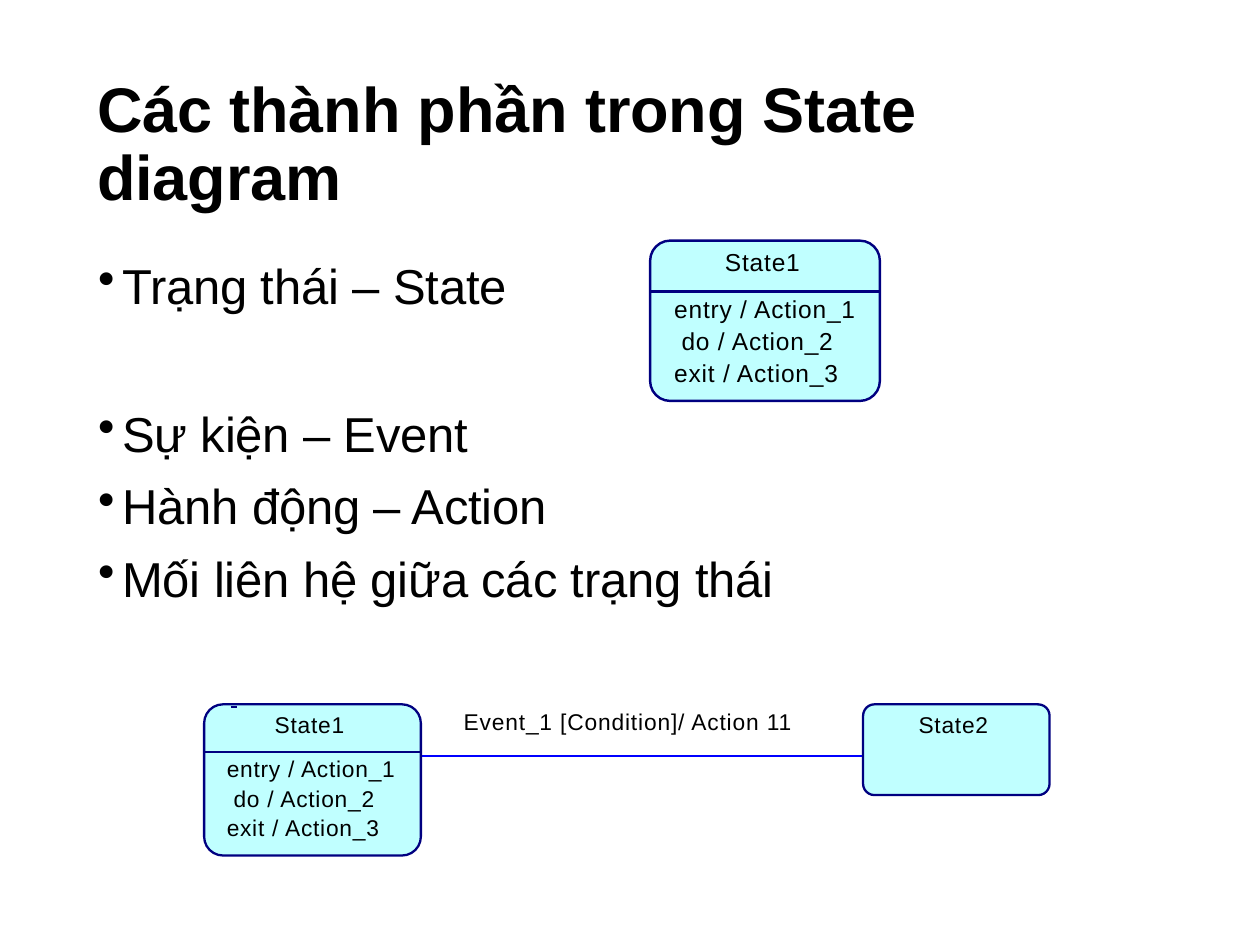
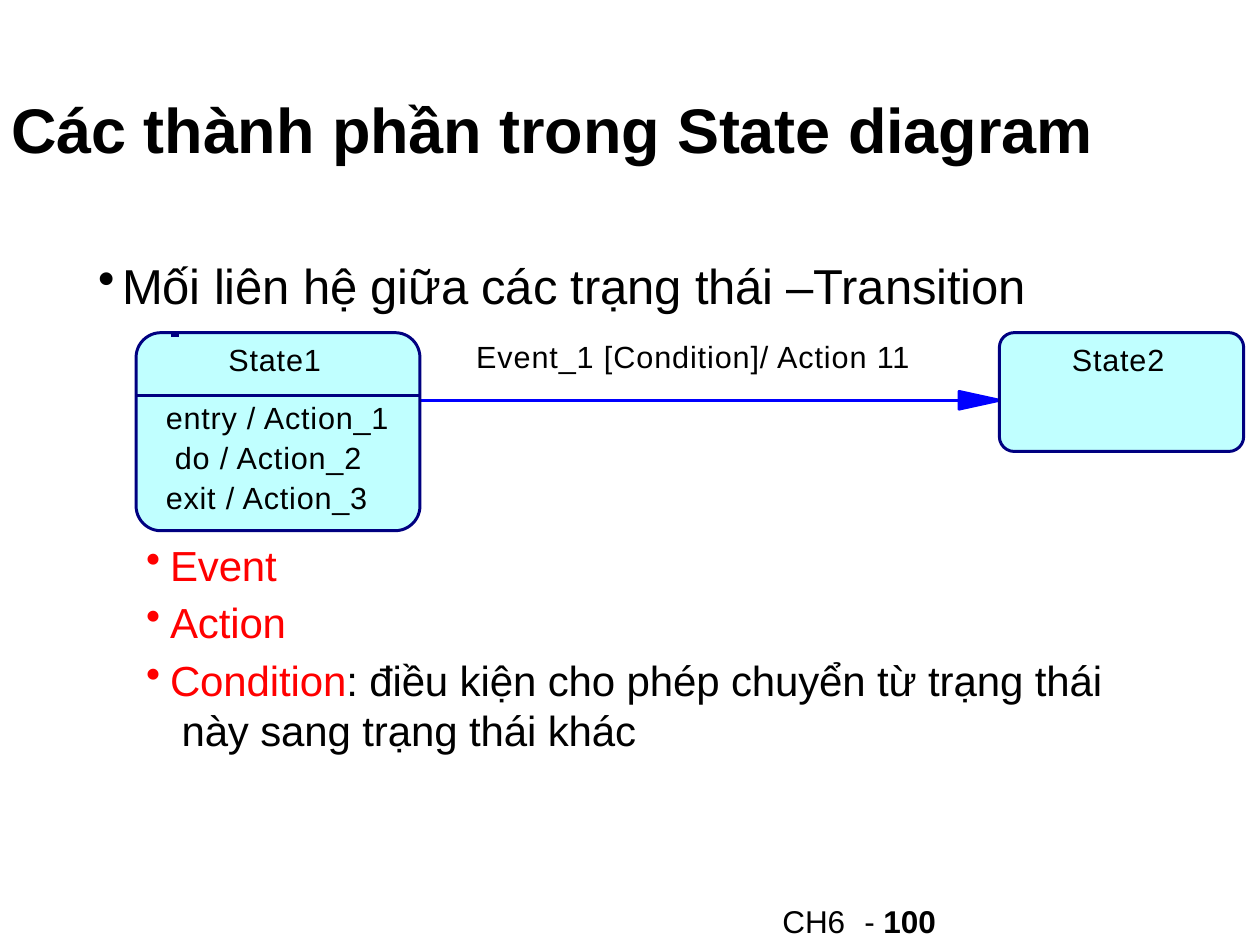
from lxml import etree
from pptx import Presentation
from pptx.dml.color import RGBColor
from pptx.enum import shapes, text
from pptx.oxml import ns
from pptx.util import Inches, Pt

FONT = "Arial"
BLACK = RGBColor(0x00, 0x00, 0x00)
RED = RGBColor(0xFF, 0x00, 0x00)
NAVY = RGBColor(0x00, 0x00, 0x80)
BLUE = RGBColor(0x00, 0x00, 0xFF)
CYAN = RGBColor(0xC0, 0xFF, 0xFF)

TITLE = "Các thành phần trong State diagram"
ACTIONS = ["entry / Action_1", "do / Action_2", "exit / Action_3"]
BODY_LEFT = 0.77
STATE1_SIZE = (1.72, 1.2)
STATE2_SIZE = (1.48, 0.72)
STATE2_OFFSET = 5.23
TRANSITION_OFFSET = 0.41


def add_text(slide, left, top, width, height, lines, size, color=BLACK,
             bold=False, tracking=0.0):
    """Add a margin-free text box with one paragraph per line; return the paragraphs."""
    box = slide.shapes.add_textbox(Inches(left), Inches(top), Inches(width), Inches(height))
    frame = box.text_frame
    frame.word_wrap = True
    frame.vertical_anchor = text.MSO_ANCHOR.TOP
    frame.margin_left = frame.margin_top = frame.margin_right = frame.margin_bottom = 0
    frame.text = "\n".join(lines)
    for paragraph in frame.paragraphs:
        font = paragraph.font
        font.name, font.size, font.bold = FONT, Pt(size), bold
        font.color.rgb = color
        font._rPr.set("spc", str(round(tracking * 100)))
    return frame.paragraphs


def add_title(slide, left, top, width, height):
    paragraph = add_text(slide, left, top, width, height, [TITLE], 36,
                         bold=True, tracking=-0.05)[0]
    paragraph.line_spacing = Pt(38.9)


def add_bullets(slide, left, top, width, height, lines, size, gap, color=BLACK):
    paragraphs = add_text(slide, left, top, width, height, lines, size, color, tracking=-0.08)
    for index, paragraph in enumerate(paragraphs):
        paragraph.space_before = Pt(gap if index else 0)
        properties = paragraph._p.get_or_add_pPr()
        properties.set("marL", str(Inches(0.2)))
        properties.set("indent", str(-Inches(0.19)))
        bullet = etree.Element(ns.qn("a:buChar"), char="•")
        properties.find(ns.qn("a:defRPr")).addprevious(bullet)
    return paragraphs


def add_line(slide, left, top, length, color, weight):
    """Draw a horizontal line."""
    line = slide.shapes.add_connector(shapes.MSO_CONNECTOR.STRAIGHT, Inches(left), Inches(top),
                                      Inches(left + length), Inches(top))
    line.line.color.rgb = color
    line.line.width = Pt(weight)
    etree.SubElement(line._element.spPr, ns.qn("a:effectLst"))


def add_arrowhead(slide, tip, middle):
    length, half_height = 0.32, 0.07
    builder = slide.shapes.build_freeform(Inches(tip), Inches(middle))
    builder.add_line_segments([(Inches(tip - length), Inches(middle + offset))
                               for offset in (half_height, -half_height)])
    head = builder.convert_to_shape()
    head.shadow.inherit = False
    head.fill.solid()
    head.fill.fore_color.rgb = BLUE
    head.line.color.rgb = BLUE
    head.line.width = Pt(1.7)


def add_state(slide, name, left, top, base_size, scale, font_size, actions=()):
    """Draw a state; with actions it also gets a divider and an action list."""
    width, height = (scale * length for length in base_size)
    box = slide.shapes.add_shape(shapes.MSO_SHAPE.ROUNDED_RECTANGLE, Inches(left), Inches(top),
                                 Inches(width), Inches(height))
    box.adjustments[0] = 0.125
    box.shadow.inherit = False
    box.fill.solid()
    box.fill.fore_color.rgb = CYAN
    box.line.color.rgb = NAVY
    box.line.width = Pt(1.3 * scale)
    name_left = left + (width - 0.6 * scale) / 2
    add_text(slide, name_left, top + 0.05 * scale, 0.75 * scale, 0.25 * scale,
             [name], font_size, tracking=0.45)
    if not actions:
        return
    divider = top + 0.38 * scale
    add_line(slide, left, divider, width, NAVY, 1.3 * scale)
    paragraphs = add_text(slide, left + 0.18 * scale, divider, 1.5 * scale, 0.75 * scale,
                          actions, font_size, tracking=0.45)
    for paragraph in paragraphs:
        paragraph.line_spacing = 1.09
    paragraphs[1]._p.get_or_add_pPr().set("marL", str(Pt(0.3 * font_size)))


def add_transition(slide, left, top, scale, font_size, arrow=False):
    """Draw State1 and State2 joined by a labelled line."""
    state1_right = left + STATE1_SIZE[0] * scale
    state2_left = left + STATE2_OFFSET * scale
    middle = top + TRANSITION_OFFSET * scale
    add_line(slide, state1_right, middle, state2_left - state1_right, BLUE, 1.3 * scale)
    if arrow:
        add_arrowhead(slide, state2_left, middle)
    add_text(slide, left + 2.06 * scale, top + 0.03 * scale, 2.9 * scale, 0.25 * scale,
             ["Event_1 [Condition]/ Action 11"], font_size, tracking=0.52)
    add_state(slide, "State1", left, top, STATE1_SIZE, scale, font_size, ACTIONS)
    add_state(slide, "State2", state2_left, top, STATE2_SIZE, scale, font_size)
    add_line(slide, left + 0.21 * scale, top + 0.02 * scale, 0.05 * scale, NAVY, 1.3 * scale)


def add_page_number(slide, chapter, number):
    paragraph = add_text(slide, 6.21, 7.17, 1.4, 0.31, [f"{chapter}\t- "], 18, tracking=-0.05)[0]
    paragraph.line_spacing = Pt(20.9)
    run = paragraph.add_run()
    run.text = number
    run.font.bold = True
    tabs = etree.Element(ns.qn("a:tabLst"))
    etree.SubElement(tabs, ns.qn("a:tab"), pos=str(Inches(0.65)), algn="l")
    paragraph._p.pPr.find(ns.qn("a:defRPr")).addprevious(tabs)


def build_components_slide(slide):
    add_title(slide, BODY_LEFT, 0.61, 8.45, 1.1)
    add_bullets(slide, BODY_LEFT, 2.03, 3.4, 0.49, ["Trạng thái – State"], 28, 0)
    add_bullets(slide, BODY_LEFT, 3.2, 5.6, 1.63,
                ["Sự kiện – Event", "Hành động – Action", "Mối liên hệ giữa các trạng thái"],
                28, 8)
    add_state(slide, "State1", 5.16, 1.91, STATE1_SIZE, 1.06, 14, ACTIONS)
    add_transition(slide, 1.62, 5.59, 1, 13)


def build_transition_slide(slide):
    add_title(slide, 0.09, 0.78, 8.9, 0.63)
    add_bullets(slide, BODY_LEFT, 2.03, 7.6, 0.49,
                ["Mối liên hệ giữa các trạng thái –Transition"], 28, 0)
    add_transition(slide, 1.08, 2.64, 1.31, 17.5, arrow=True)
    condition = add_bullets(slide, 1.15, 4.28, 7.8, 1.74,
                            ["Event", "Action", "Condition"], 24, 4, RED)[-1]
    for index, line in enumerate([": điều kiện cho phép chuyển từ trạng thái",
                                  " này sang trạng thái khác"]):
        if index:
            condition.add_line_break()
        run = condition.add_run()
        run.text = line
        run.font.color.rgb = BLACK
    add_page_number(slide, "CH6", "100")


def main():
    presentation = Presentation()
    presentation.slide_width, presentation.slide_height = Inches(10), Inches(7.5)
    blank = presentation.slide_layouts[6]
    for build in (build_components_slide, build_transition_slide):
        build(presentation.slides.add_slide(blank))
    presentation.save("out.pptx")


if __name__ == "__main__":
    main()
